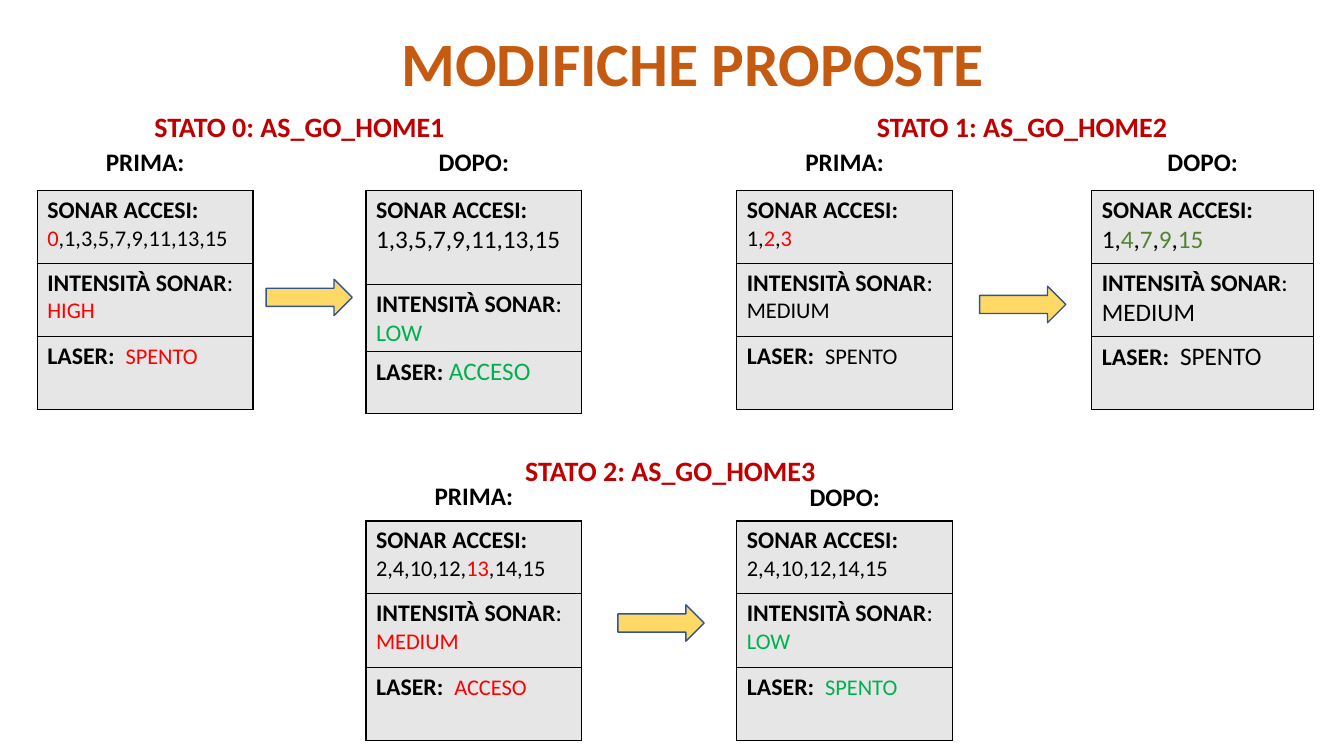
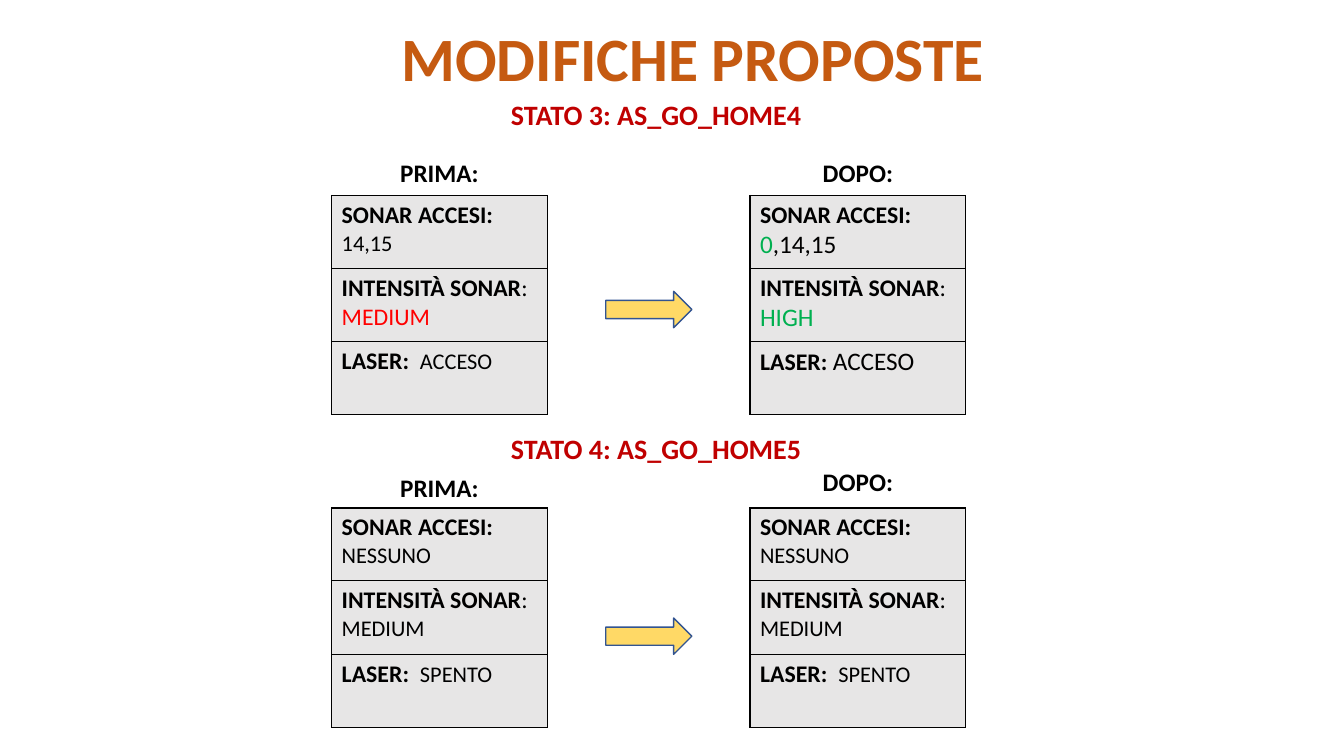
from dataclasses import dataclass

from lxml.etree import SubElement
from pptx import Presentation
from pptx.dml.color import RGBColor
from pptx.enum.shapes import MSO_SHAPE
from pptx.enum.text import MSO_ANCHOR, PP_ALIGN
from pptx.oxml.ns import qn
from pptx.util import Pt


@dataclass(frozen=True)
class Theme:
    font: str = "Calibri"
    title: str = "C55A11"
    heading: str = "C00000"
    text: str = "000000"
    red: str = "FF0000"
    green: str = "00B050"
    olive: str = "548235"
    cell: str = "E7E6E6"
    arrow: str = "FFD966"
    arrow_line: str = "325491"
    title_size: float = 44
    heading_size: float = 20
    label_size: float = 18
    caption_size: float = 17
    value_size: float = 16
    large_size: float = 18


THEME = Theme()


@dataclass
class Card:
    """One settings table: its place, its values and their sizes."""
    left: float
    label_top: float
    sonar: list
    intensity: tuple
    laser: tuple
    sizes: tuple = (THEME.value_size,) * 3
    laser_caption: str = "LASER:  "
    width: float = 154.1
    rows: tuple = (52, 52.5, 52)


class Deck:
    def __init__(self, theme):
        self.theme = theme
        self.presentation = Presentation()
        self.presentation.slide_width = Pt(960)
        self.presentation.slide_height = Pt(540)
        self.slide = None

    def add_slide(self, title_top):
        layout = self.presentation.slide_layouts[6]
        self.slide = self.presentation.slides.add_slide(layout)
        self.text("MODIFICHE PROPOSTE", (249.8, title_top, 460.8, 60.5),
                  self.theme.title_size, self.theme.title, PP_ALIGN.RIGHT)

    def style(self, font, size, color, bold):
        font.name = self.theme.font
        font.size = Pt(size)
        font.bold = bold
        font.color.rgb = RGBColor.from_string(color)

    def text(self, words, box, size, color, align=PP_ALIGN.CENTER,
             anchor=MSO_ANCHOR.TOP):
        shape = self.slide.shapes.add_textbox(*map(Pt, box))
        frame = shape.text_frame
        frame.word_wrap = True
        frame.vertical_anchor = anchor
        paragraph = frame.paragraphs[0]
        paragraph.text = words
        paragraph.alignment = align
        self.style(paragraph.font, size, color, True)

    def label(self, words, card, width):
        left = card.left + (card.width - width) / 2
        self.text(words, (left, card.label_top, width, 25.9),
                  self.theme.label_size, self.theme.text,
                  anchor=MSO_ANCHOR.MIDDLE)

    def arrow(self, left, top):
        shape = self.slide.shapes.add_shape(
            MSO_SHAPE.RIGHT_ARROW, Pt(left), Pt(top), Pt(61.5), Pt(26))
        shape.shadow.inherit = False
        shape.fill.solid()
        shape.fill.fore_color.rgb = RGBColor.from_string(self.theme.arrow)
        shape.line.color.rgb = RGBColor.from_string(self.theme.arrow_line)
        shape.line.width = Pt(1)

    def run(self, paragraph, words, size, color, bold=False):
        run = paragraph.add_run()
        run.text = words
        self.style(run.font, size, color, bold)

    def paint_cell(self, cell):
        properties = cell._tc.get_or_add_tcPr()
        for side in ("lnL", "lnR", "lnT", "lnB"):
            border = SubElement(properties, qn(f"a:{side}"), w=str(Pt(1)))
            fill = SubElement(border, qn("a:solidFill"))
            SubElement(fill, qn("a:srgbClr"), val=self.theme.text)
        cell.fill.solid()
        cell.fill.fore_color.rgb = RGBColor.from_string(self.theme.cell)

    def table(self, card, top):
        theme = self.theme
        table = self.slide.shapes.add_table(
            3, 1, Pt(card.left), Pt(top), Pt(card.width),
            Pt(sum(card.rows))).table
        table.first_row = table.horz_banding = False
        # Caption, thin ending, values, and whether values start a new line
        contents = (("SONAR ACCESI:", "", card.sonar, True),
                    ("INTENSITÀ SONAR", ":", [card.intensity], True),
                    (card.laser_caption, "", [card.laser], False))
        for index, (caption, ending, values, new_line) in enumerate(contents):
            table.rows[index].height = Pt(card.rows[index])
            cell = table.cell(index, 0)
            self.paint_cell(cell)
            paragraph = cell.text_frame.paragraphs[0]
            self.run(paragraph, caption, theme.caption_size, theme.text, True)
            if ending:
                self.run(paragraph, ending, theme.caption_size, theme.text)
            if new_line:
                paragraph = cell.text_frame.add_paragraph()
            for words, color in values:
                self.run(paragraph, words, card.sizes[index], color)

    def state(self, heading, place, table_top, before, after, arrow):
        self.text(heading, (*place, 286.6, 31.5),
                  self.theme.heading_size, self.theme.heading)
        self.label("PRIMA:", before, 264.2)
        self.label("DOPO:", after, 245.5)
        self.table(before, table_top)
        self.table(after, table_top)
        self.arrow(*arrow)


def plain(words):
    return words, THEME.text


def red(words):
    return words, THEME.red


def green(words):
    return words, THEME.green


def olive(words):
    return words, THEME.olive


LARGE = (THEME.large_size,) * 3
deck = Deck(THEME)

# First slide: states 0 to 2
deck.add_slide(14.4)
deck.state(
    "STATO 0: AS_GO_HOME1", (70.6, 75), 136.1,
    Card(26.6, 102.2, [red("0"), plain(",1,3,5,7,9,11,13,15")],
         red("HIGH"), red("SPENTO")),
    Card(261.4, 102.2, [plain("1,3,5,7,9,11,13,15")],
         green("LOW"), green("ACCESO"),
         sizes=(THEME.large_size, THEME.caption_size, THEME.large_size),
         laser_caption="LASER: ", rows=(67, 45.4, 44)),
    arrow=(190.1, 199.4))
deck.state(
    "STATO 1: AS_GO_HOME2", (586.8, 75), 136.1,
    Card(526.3, 102.2, [plain("1,"), red("2"), plain(","), red("3")],
         plain("MEDIUM"), plain("SPENTO")),
    Card(779.8, 102.2,
         [plain("1,"), olive("4"), plain(","), olive("7"), plain(","),
          olive("9"), plain(","), olive("15")],
         plain("MEDIUM"), plain("SPENTO"), sizes=LARGE, width=158.4),
    arrow=(699.8, 204.5))
deck.state(
    "STATO 2: AS_GO_HOME3", (335.5, 320.4), 372.2,
    Card(261.4, 340.6, [plain("2,4,10,12,"), red("13"), plain(",14,15")],
         red("MEDIUM"), red("ACCESO")),
    Card(526.3, 342, [plain("2,4,10,12,14,15")],
         green("LOW"), green("SPENTO")),
    arrow=(441.4, 432))

# Second slide: states 3 and 4
deck.add_slide(10.8)
deck.state(
    "STATO 3: AS_GO_HOME4", (325.4, 66.2), 139.7,
    Card(236.9, 110.2, [plain("14,15")], red("MEDIUM"), plain("ACCESO"),
         sizes=(THEME.value_size, THEME.caption_size, THEME.value_size)),
    Card(535.7, 110.2, [green("0"), plain(",14,15")],
         green("HIGH"), plain("ACCESO"),
         sizes=LARGE, laser_caption="LASER: "),
    arrow=(432.7, 208.1))
unchanged = [plain("NESSUNO")], plain("MEDIUM"), plain("SPENTO")
deck.state(
    "STATO 4: AS_GO_HOME5", (325.4, 304.6), 362.9,
    Card(236.9, 335.5, *unchanged),
    Card(535.7, 331.2, *unchanged),
    arrow=(432.7, 441.4))

deck.presentation.save("out.pptx")
